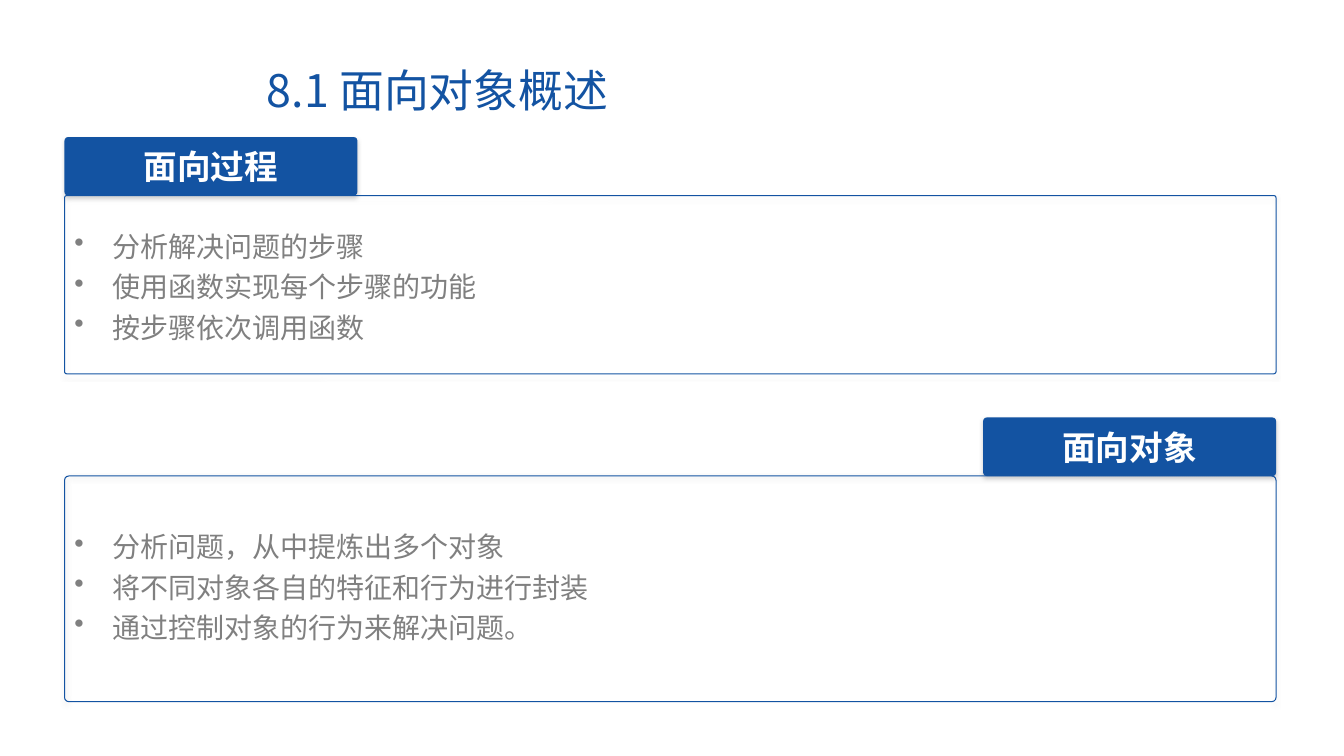
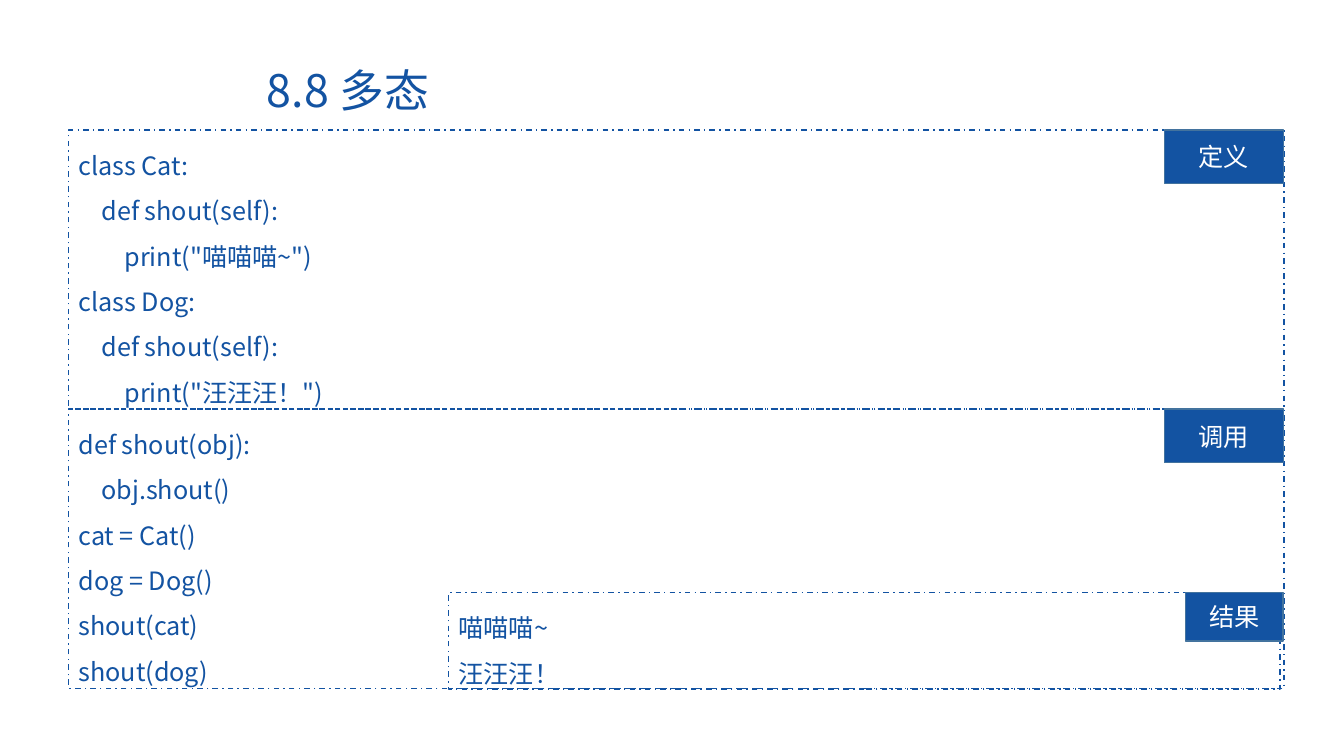
import pptx
import pptx.dml.color
import pptx.enum.dml
import pptx.enum.shapes
import pptx.enum.text
import pptx.oxml
import pptx.oxml.ns
import pptx.util

Pt = pptx.util.Pt
RGBColor = pptx.dml.color.RGBColor
MSO_SHAPE = pptx.enum.shapes.MSO_SHAPE
PP_ALIGN = pptx.enum.text.PP_ALIGN
MSO_ANCHOR = pptx.enum.text.MSO_ANCHOR
qn = pptx.oxml.ns.qn

BLUE = RGBColor(0x13, 0x53, 0xA2)
TAB_EDGE = RGBColor(0x43, 0x73, 0x9E)
GRAY = RGBColor(0x80, 0x80, 0x80)
WHITE = RGBColor(0xFF, 0xFF, 0xFF)
FONT = "Noto Sans CJK SC"
CODE_INDENT = 16.4
BULLET_INDENT = 27
SHADOW = (
    '<a:outerShdw xmlns:a="http://schemas.openxmlformats.org/drawingml/2006/main" '
    f'blurRad="{Pt(3.1)}" dist="{Pt(1.8)}" dir="5400000" algn="t" rotWithShape="0">'
    '<a:srgbClr val="808080"><a:alpha val="35000"/></a:srgbClr></a:outerShdw>'
)


def write(shape, lines, size=18, color=BLUE, bold=False, align=PP_ALIGN.LEFT,
          anchor=MSO_ANCHOR.TOP, spacing=1.0, bullet=None, wrap=True):
    frame = shape.text_frame
    frame.word_wrap = wrap
    frame.vertical_anchor = anchor
    for index, (level, words) in enumerate(lines):
        paragraph = frame.paragraphs[0] if index == 0 else frame.add_paragraph()
        paragraph.alignment = align
        paragraph.line_spacing = spacing
        run = paragraph.add_run()
        run.text = words
        run.font.size = Pt(size)
        run.font.bold = bold
        run.font.color.rgb = color
        run.font.name = FONT
        run.font._element.get_or_add_latin().addnext(
            run.font._element.makeelement(qn("a:ea"), {"typeface": FONT}))
        properties = paragraph._p.get_or_add_pPr()
        if bullet:
            properties.set("marL", str(Pt(BULLET_INDENT)))
            properties.set("indent", str(-Pt(BULLET_INDENT)))
            properties.append(properties.makeelement(qn("a:buChar"), {"char": bullet}))
        elif level:
            properties.set("marL", str(Pt(level * CODE_INDENT)))


def add_box(slide, kind, bounds, fill=None, edge=None, edge_width=1, dash=None,
            corner=None, shadow=False):
    box = slide.shapes.add_shape(kind, *map(Pt, bounds))
    box.shadow.inherit = False
    if shadow:
        effects = box._element.spPr.find(qn("a:effectLst"))
        effects.append(pptx.oxml.parse_xml(SHADOW))
    if corner:
        box.adjustments[0] = corner
    if fill:
        box.fill.solid()
        box.fill.fore_color.rgb = fill
    else:
        box.fill.background()
    if edge:
        box.line.color.rgb = edge
        box.line.width = Pt(edge_width)
        box.line.dash_style = dash
    else:
        box.line.fill.background()
    return box


deck = pptx.Presentation()
deck.slide_width = Pt(960)
deck.slide_height = Pt(540)

slides = []
for heading in ("8.1 面向对象概述", "8.8 多态"):
    slide = deck.slides.add_slide(deck.slide_layouts[6])
    title = slide.shapes.add_textbox(Pt(183.6), Pt(45.4), Pt(658), Pt(42.5))
    write(title, [(0, heading)], size=32, anchor=MSO_ANCHOR.MIDDLE, spacing=0.9)
    slides.append(slide)
overview, polymorphism = slides

LEFT, WIDTH = 46.1, 865.4
TAB_WIDTH, TAB_HEIGHT = 209.2, 41.8
approaches = [
    ("面向过程", LEFT, 139.7, 127.4, 0.013, 155.5,
     ["分析解决问题的步骤", "使用函数实现每个步骤的功能", "按步骤依次调用函数"]),
    ("面向对象", LEFT + WIDTH - TAB_WIDTH, 340, 161.2, 0.019, 370.1,
     ["分析问题，从中提炼出多个对象", "将不同对象各自的特征和行为进行封装",
      "通过控制对象的行为来解决问题。"]),
]
for name, tab_left, top, height, corner, steps_top, steps in approaches:
    tab = add_box(overview, MSO_SHAPE.ROUNDED_RECTANGLE,
                  (tab_left, top - TAB_HEIGHT, TAB_WIDTH, TAB_HEIGHT),
                  fill=BLUE, corner=0.06, shadow=True)
    write(tab, [(0, name)], size=24, color=WHITE, bold=True, align=PP_ALIGN.CENTER,
          anchor=MSO_ANCHOR.MIDDLE, wrap=False)
    add_box(overview, MSO_SHAPE.ROUNDED_RECTANGLE, (LEFT, top, WIDTH, height),
            edge=BLUE, edge_width=0.75, corner=corner, shadow=True)
    steps_box = overview.shapes.add_textbox(Pt(LEFT), Pt(steps_top), Pt(WIDTH), Pt(94.3))
    write(steps_box, [(0, step) for step in steps], size=20, color=GRAY,
          spacing=1.2, bullet="•")

TAB_RIGHT = 916.6
listings = [
    ("定义", (49, 92.9, 868.3, 199.4), (85, 38.2),
     [(0, "class Cat:"), (1, "def shout(self):"), (2, 'print("喵喵喵~")'),
      (0, "class Dog:"), (1, "def shout(self):"), (2, 'print("汪汪汪！")')]),
    ("调用", (49, 292.3, 868.3, 199.4), (85, 38.2),
     [(0, "def shout(obj):"), (1, "obj.shout()"), (0, "cat = Cat()"),
      (0, "dog = Dog()"), (0, "shout(cat)"), (0, "shout(dog)")]),
    ("结果", (320.4, 423.2, 594, 69), (69.8, 34.6),
     [(0, "喵喵喵~"), (0, "汪汪汪！")]),
]
for name, bounds, (tab_width, tab_height), code in listings:
    listing = add_box(polymorphism, MSO_SHAPE.RECTANGLE, bounds, edge=BLUE,
                      dash=pptx.enum.dml.MSO_LINE.DASH_DOT)
    write(listing, code, spacing=1.5)
    tab = add_box(polymorphism, MSO_SHAPE.RECTANGLE,
                  (TAB_RIGHT - tab_width, bounds[1], tab_width, tab_height),
                  fill=BLUE, edge=TAB_EDGE)
    write(tab, [(0, name)], color=WHITE, align=PP_ALIGN.CENTER, anchor=MSO_ANCHOR.MIDDLE)

deck.save("out.pptx")
